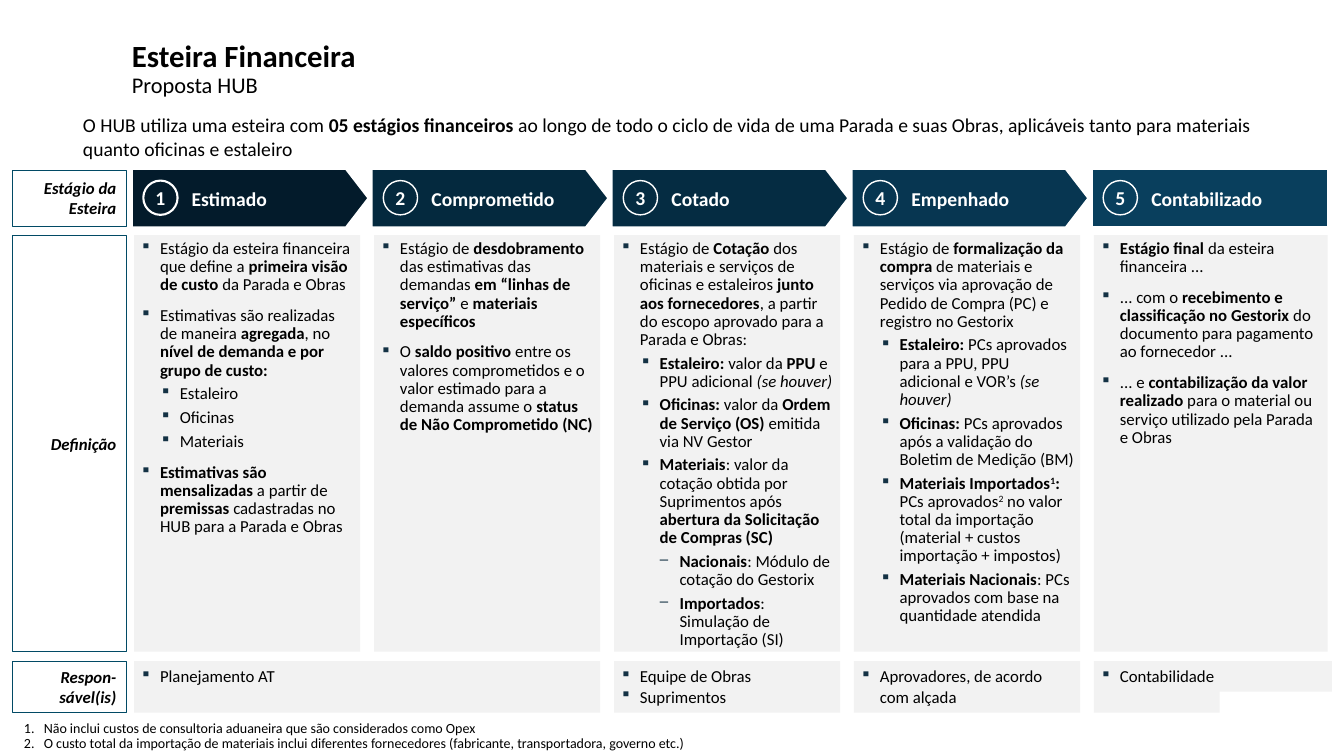
from dataclasses import dataclass
from lxml.etree import SubElement
from pptx import Presentation
from pptx.dml.color import RGBColor as RGB
from pptx.enum.shapes import MSO_SHAPE as SHAPE
from pptx.enum.text import MSO_ANCHOR as ANCHOR, PP_ALIGN as ALIGN
from pptx.oxml.ns import qn
from pptx.util import Pt


@dataclass(frozen=True)
class Theme:
    font: str = "Calibri"
    text: str = "000000"
    white: str = "FFFFFF"
    panel: str = "F2F2F2"
    border: str = "014A65"
    bullet: str = "143244"
    stages: tuple = ("031B2B", "04293E", "052C42", "073651", "093F5D")
    title: int = 22
    subtitle: int = 16
    lead: int = 14
    body: int = 12
    note: int = 10


T = Theme()
NONE = dict(indent=0, hang=0, line=1.0, before=0)
MAIN = dict(indent=14.2, hang=-14, line=0.9, before=9, char="▪")
SUB = dict(MAIN, indent=28.3, before=4)
DASH = dict(SUB, indent=42.5, char="–")
OWNER = dict(MAIN, line=1.0, before=0)
NOTE = dict(indent=14.2, hang=-14.2, line=0.9, before=0, number="arabicPeriod")
STAGE = dict(NONE, indent=36)


def write(sp, paras, size=T.body, color=T.text, bold=False, italic=False,
          align=ALIGN.LEFT, anchor=ANCHOR.TOP, inset=(4.3, 3.6)):
    tf = sp.text_frame
    frame = dict(word_wrap=True, vertical_anchor=anchor,
                 margin_left=Pt(inset[0]), margin_right=Pt(inset[0]),
                 margin_top=Pt(inset[1]), margin_bottom=Pt(inset[1]))
    for name, value in frame.items():
        setattr(tf, name, value)
    for n, (style, text) in enumerate(paras):
        p = tf.add_paragraph() if n else tf.paragraphs[0]
        spacing = dict(alignment=align, line_spacing=style["line"],
                       space_before=Pt(style["before"] if n else 0))
        for name, value in spacing.items():
            setattr(p, name, value)
        pPr = p._p.get_or_add_pPr()
        pPr.set("marL", str(Pt(style["indent"])))
        pPr.set("indent", str(Pt(style["hang"])))
        if "char" in style:
            SubElement(SubElement(pPr, qn("a:buClr")), qn("a:srgbClr"), val=T.bullet)
            SubElement(pPr, qn("a:buSzPct"), val="90000")
            SubElement(pPr, qn("a:buChar"), char=style["char"])
        if "number" in style:
            SubElement(pPr, qn("a:buAutoNum"), type=style["number"])
        for b, bold_part in enumerate(text.split("*")):
            for i, italic_part in enumerate(bold_part.split("_")):
                for s, part in enumerate(italic_part.split("^")):
                    if not part:
                        continue
                    r = p.add_run()
                    r.text = part
                    font = dict(name=T.font, size=Pt(size), bold=bold or b % 2 == 1,
                                italic=italic or i % 2 == 1)
                    for name, value in font.items():
                        setattr(r.font, name, value)
                    r.font.color.rgb = RGB.from_string(color)
                    if s % 2:
                        r._r.get_or_add_rPr().set("baseline", "30000")


def box(kind, x, y, w, h, fill=None, line=None, weight=0.75):
    sp = slide.shapes.add_shape(kind, Pt(x), Pt(y), Pt(w), Pt(h))
    sp.shadow.inherit = False
    for target, color in ((sp.fill, fill), (sp.line.fill, line)):
        if color:
            target.solid()
            target.fore_color.rgb = RGB.from_string(color)
        else:
            target.background()
    if line:
        sp.line.width = Pt(weight)
    return sp


prs = Presentation()
prs.slide_width, prs.slide_height = Pt(960), Pt(540)
slide = prs.slides.add_slide(prs.slide_layouts[5])

title = slide.shapes.title
for name, value in dict(left=87, top=24, width=826, height=51).items():
    setattr(title, name, Pt(value))
write(title, [(dict(NONE, line=0.9), "Esteira Financeira")], T.title, bold=True,
      anchor=ANCHOR.MIDDLE, inset=(7.2, 3.6))
p = title.text_frame.paragraphs[0]
p.add_line_break()
r = p.add_run()
r.text = "Proposta HUB"
for name, value in dict(name=T.font, size=Pt(T.subtitle), bold=False).items():
    setattr(r.font, name, value)
r.font.color.rgb = RGB.from_string(T.text)

lead = slide.shapes.add_textbox(Pt(55), Pt(77.2), Pt(850), Pt(46.5))
write(lead, [(NONE, "O HUB utiliza uma esteira com *05 estágios financeiros *ao longo de todo o "
              "ciclo de vida de uma Parada e suas Obras, aplicáveis tanto para materiais "
              "quanto oficinas e estaleiro")], T.lead)

BODY_Y, BODY_H, OWNER_Y, OWNER_H = 168, 297.5, 472.3, 36.7
ROWS = [("Estágio da Esteira", 121.5, 40),
        ("Definição", BODY_Y, BODY_H),
        ("Respon-sável(is)", OWNER_Y, OWNER_H)]
for label, y, h in ROWS:
    sp = box(SHAPE.RECTANGLE, 8.6, y, 81.6, h, line=T.border)
    write(sp, [(NONE, label)], bold=True, italic=True, align=ALIGN.RIGHT,
          anchor=ANCHOR.MIDDLE, inset=(7.2, 3.6))

STAGES = [
    ("Estimado", [
        (MAIN, "Estágio da esteira financeira que define a *primeira visão de custo* da Parada e Obras"),
        (MAIN, "Estimativas são realizadas de maneira *agregada*, no "
               "*nível de demanda e por grupo de custo:*"),
        (SUB, "Estaleiro"),
        (SUB, "Oficinas"),
        (SUB, "Materiais"),
        (MAIN, "*Estimativas são mensalizadas *a partir de *premissas* cadastradas no HUB "
               "para a Parada e Obras")]),
    ("Comprometido", [
        (MAIN, "Estágio de *desdobramento* das estimativas das demandas "
               "*em “linhas de serviço” *e *materiais específicos*"),
        (MAIN, "O *saldo positivo* entre os valores comprometidos e o valor estimado para a "
               "demanda assume o *status de Não Comprometido (NC)*")]),
    ("Cotado", [
        (MAIN, "Estágio de *Cotação* dos materiais e serviços de oficinas e estaleiros"
               "* junto aos fornecedores*, a partir do escopo aprovado para a Parada e Obras:"),
        (SUB, "*Estaleiro: *valor da *PPU* e PPU adicional _(se houver)_"),
        (SUB, "*Oficinas:* valor da *Ordem de Serviço (OS)* emitida via NV Gestor"),
        (SUB, "*Materiais*: valor da cotação obtida por Suprimentos após "
              "*abertura da Solicitação de Compras (SC)*"),
        (DASH, "*Nacionais*: Módulo de cotação do Gestorix"),
        (DASH, "*Importados*: Simulação de Importação (SI)")]),
    ("Empenhado", [
        (MAIN, "Estágio de *formalização da compra *de materiais e serviços via aprovação de "
               "Pedido de Compra (PC) e registro no Gestorix"),
        (SUB, "*Estaleiro: *PCs aprovados para a PPU, PPU adicional e VOR’s_ (se houver)_"),
        (SUB, "*Oficinas:* PCs aprovados após a validação do Boletim de Medição (BM)"),
        (SUB, "*Materiais Importados^1^: *PCs aprovados^2^ no valor total da importação "
              "(material + custos importação + impostos)"),
        (SUB, "*Materiais Nacionais*: PCs aprovados com base na quantidade atendida")]),
    ("Contabilizado", [
        (MAIN, "*Estágio final *da esteira financeira ..."),
        (MAIN, "... com o *recebimento e classificação no Gestorix *do documento para "
               "pagamento ao fornecedor ..."),
        (MAIN, "... e *contabilização da valor realizado* para o material ou serviço "
               "utilizado pela Parada e Obras")]),
]
PITCH, COLUMN_X, COLUMN_W = 171.4, 95.8, 161.5
for n, ((stage, definition), color) in enumerate(zip(STAGES, T.stages)):
    x = COLUMN_X + n * PITCH
    last = n == len(STAGES) - 1
    kind = SHAPE.RECTANGLE if last else SHAPE.PENTAGON
    sp = box(kind, x - 2.1, 120.3, 170, 42.5, color, T.white, 2.25)
    if not last:
        sp.adjustments[0] = 0.386
    write(sp, [(STAGE, stage)], T.lead, T.white, bold=True, anchor=ANCHOR.MIDDLE,
          inset=(7.2, 3.6))
    sp = box(SHAPE.OVAL, x + 6.6, 129, 24.5, 24.5, color, T.white, 1 if n else 1.5)
    write(sp, [(NONE, str(n + 1))], T.lead, T.white, bold=True, align=ALIGN.CENTER,
          anchor=ANCHOR.MIDDLE, inset=(0, 0))
    sp = box(SHAPE.RECTANGLE, x, BODY_Y, 167 if last else COLUMN_W, BODY_H, T.panel)
    write(sp, definition)

OWNERS = [(0, PITCH + COLUMN_W, ["Planejamento AT"]),
          (2, COLUMN_W, ["Equipe de Obras", "Suprimentos"]),
          (3, COLUMN_W, ["Aprovadores, de acordo com alçada"]),
          (4, 170, ["Contabilidade"])]
for column, w, names in OWNERS:
    sp = box(SHAPE.RECTANGLE, COLUMN_X + column * PITCH, OWNER_Y, w, OWNER_H, T.panel)
    write(sp, [(OWNER, owner) for owner in names])

notes = slide.shapes.add_textbox(Pt(10), Pt(512), Pt(711), Pt(28.8))
write(notes, [
    (NOTE, "Não inclui custos de consultoria aduaneira que são considerados como Opex"),
    (NOTE, "O custo total da importação de materiais inclui diferentes fornecedores "
           "(fabricante, transportadora, governo etc.)")], T.note, inset=(7.2, 3.6))

box(SHAPE.RECTANGLE, 871.2, 494, 88.8, 46, T.white)

prs.save("out.pptx")
